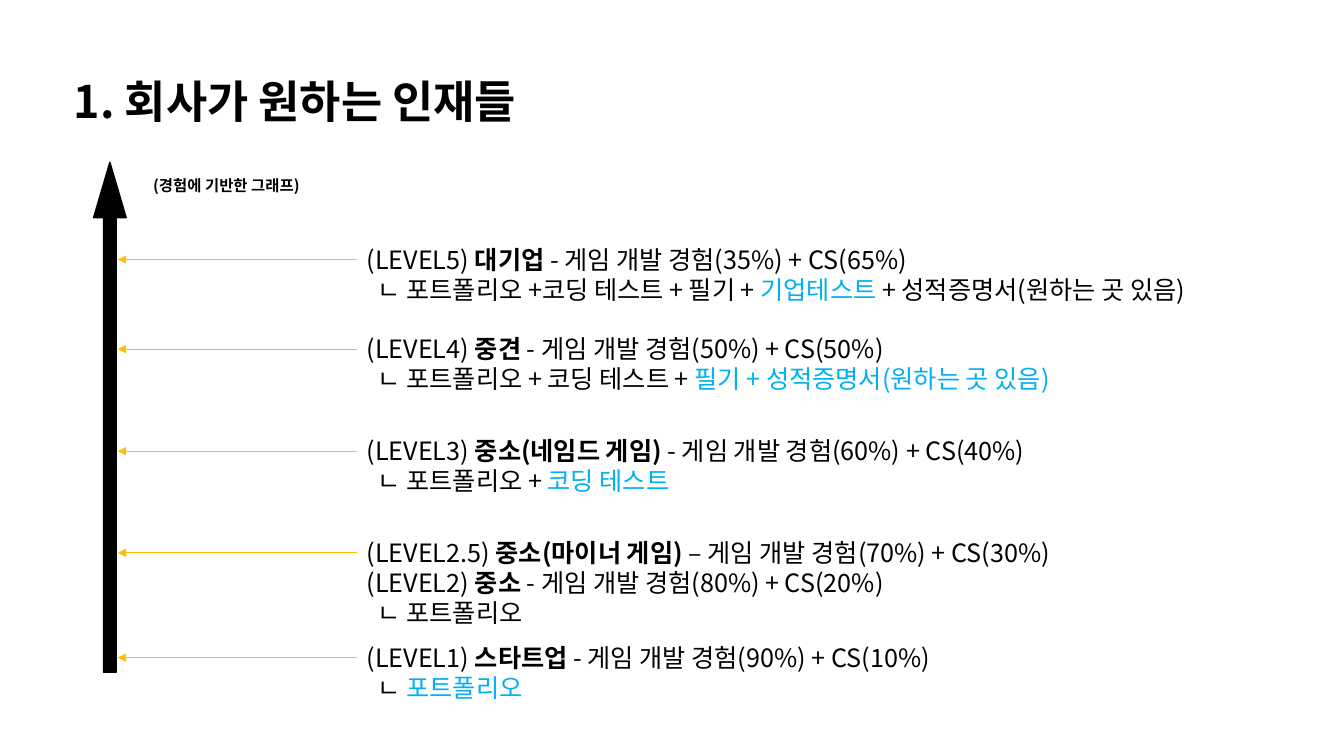
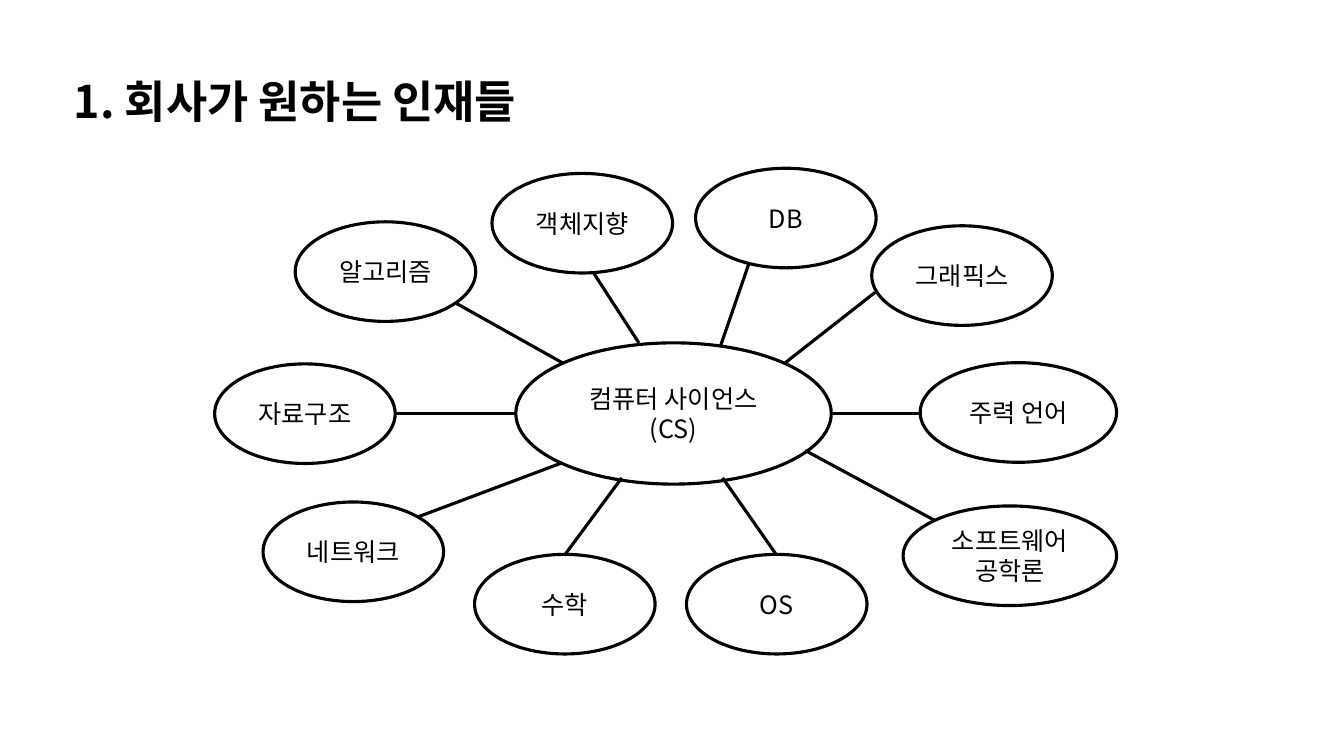
"""Build two slides on the talent that companies look for."""
from lxml import etree
from pptx import Presentation
from pptx.dml.color import RGBColor
from pptx.enum import shapes, text
from pptx.oxml.ns import qn
from pptx.util import Cm, Pt

FONT = "Noto Sans CJK KR"
BLACK = RGBColor(0x00, 0x00, 0x00)
BLUE = RGBColor(0x00, 0xB0, 0xF0)
GOLD = RGBColor(0xFF, 0xC0, 0x00)

TITLE = "1. 회사가 원하는 인재들"
CAPTION = "(경험에 기반한 그래프)"

PLAIN, STRONG, NEW = "plain", "strong", "new"


def heading(level, company, experience):
    return False, [(f"(LEVEL{level}) ", PLAIN), (company, STRONG), (experience, PLAIN)]


def requirements(*runs):
    return True, [("ㄴ ", PLAIN), *runs]


LEVELS = [
    (6.02, [
        heading("5", "대기업", " - 게임 개발 경험(35%) + CS(65%)"),
        requirements(("포트폴리오 +코딩 테스트 + 필기 + ", PLAIN), ("기업테스트 ", NEW),
                     ("+ 성적증명서(원하는 곳 있음)", PLAIN)),
    ]),
    (8.28, [
        heading("4", "중견", " - 게임 개발 경험(50%) + CS(50%)"),
        requirements(("포트폴리오 + 코딩 테스트 + ", PLAIN),
                     ("필기 + 성적증명서(원하는 곳 있음)", NEW)),
    ]),
    (10.85, [
        heading("3", "중소(네임드 게임) ", "- 게임 개발 경험(60%) + CS(40%)"),
        requirements(("포트폴리오 + ", PLAIN), ("코딩 테스트", NEW)),
    ]),
    (13.41, [
        heading("2.5", "중소(마이너 게임) ", "– 게임 개발 경험(70%) + CS(30%)"),
        heading("2", "중소", " - 게임 개발 경험(80%) + CS(20%)"),
        requirements(("포트폴리오", PLAIN)),
    ]),
    (16.05, [
        heading("1", "스타트업", " - 게임 개발 경험(90%) + CS(10%)"),
        requirements(("포트폴리오", NEW)),
    ]),
]
AXIS_EDGE, LEVEL_LEFT, LEVEL_WIDTH, LEVEL_LINE = 2.97, 8.99, 24.28, 0.52
REQUIREMENT_INDENT = 0.28

HUB = (["컴퓨터 사이언스", "(CS)"], (13, 8.64, 7.95, 3.56))
TOPIC_WIDTH, TOPIC_HEIGHT = 4.55, 2.51
TOPICS = [
    ("알고리즘", (7.44, 5.59), TOPIC_WIDTH, (14.17, 9.14, 11.51, 7.65)),
    ("객체지향", (12.4, 4.37), TOPIC_WIDTH, (16.1, 8.64, 14.96, 6.88)),
    ("DB", (17.53, 4.24), TOPIC_WIDTH, (18.16, 8.71, 18.87, 6.65)),
    ("그래픽스", (21.97, 5.69), TOPIC_WIDTH, (19.79, 9.14, 22.05, 7.37)),
    ("주력 언어", (23.19, 9.14), 4.95, (20.96, 10.41, 23.19, 10.41)),
    ("소프트웨어 공학론", (22.76, 12.75), 5.38, (20.29, 11.35, 23.55, 13.11)),
    ("OS", (17.3, 13.97), TOPIC_WIDTH, (18.21, 12.04, 19.56, 13.97)),
    ("수학", (11.96, 13.97), TOPIC_WIDTH, (15.67, 12.04, 14.22, 14)),
    ("네트워크", (6.63, 12.65), TOPIC_WIDTH, (14.17, 11.66, 10.52, 13.03)),
    ("자료구조", (5.41, 9.17), TOPIC_WIDTH, (13, 10.41, 9.96, 10.41)),
]


def cm(values):
    return [Cm(value) for value in values]


def style(paragraph, size, bold=False, align=text.PP_ALIGN.LEFT):
    paragraph.alignment = align
    font = paragraph.font
    font.size, font.bold, font.name = Pt(size), bold, FONT
    font.color.rgb = BLACK
    defaults = paragraph._p.pPr.find(qn("a:defRPr"))
    etree.SubElement(defaults, qn("a:ea"), typeface=FONT)


def add_paragraphs(frame, count):
    return [frame.paragraphs[0]] + [frame.add_paragraph() for _ in range(count - 1)]


def add_slide(presentation):
    slide = presentation.slides.add_slide(presentation.slide_layouts[5])
    title = slide.shapes.title
    title.left, title.top, title.width, title.height = cm((1.6, 1.73, 14.25, 1.63))
    title.text_frame.text = TITLE
    title.text_frame.auto_size = text.MSO_AUTO_SIZE.NONE
    title.text_frame.word_wrap = True
    style(title.text_frame.paragraphs[0], 32, bold=True)
    return slide


def add_textbox(slide, box):
    frame = slide.shapes.add_textbox(*cm(box)).text_frame
    frame.word_wrap = True
    return frame


def add_line(slide, ends, color, width, arrow=False):
    line = slide.shapes.add_connector(shapes.MSO_CONNECTOR.STRAIGHT, *cm(ends))
    line.line.color.rgb = color
    line.line.width = Pt(width)
    if arrow:
        etree.SubElement(line.line._get_or_add_ln(), qn("a:tailEnd"), type="triangle")
    etree.SubElement(line._element.spPr, qn("a:effectLst"))


def add_level(slide, top, rows):
    middle = top + LEVEL_LINE
    add_line(slide, (LEVEL_LEFT, middle, AXIS_EDGE, middle), GOLD, 0.5, arrow=True)
    frame = add_textbox(slide, (LEVEL_LEFT, top, LEVEL_WIDTH, 0.28 + 0.76 * len(rows)))
    for paragraph, (indented, runs) in zip(add_paragraphs(frame, len(rows)), rows):
        style(paragraph, 18)
        if indented:
            paragraph._p.pPr.set("marL", str(Cm(REQUIREMENT_INDENT)))
        for words, kind in runs:
            run = paragraph.add_run()
            run.text = words
            if kind == STRONG:
                run.font.bold = True
            elif kind == NEW:
                run.font.color.rgb = BLUE


def add_ellipse(slide, lines, box):
    ellipse = slide.shapes.add_shape(shapes.MSO_SHAPE.OVAL, *cm(box))
    ellipse.shadow.inherit = False
    ellipse.fill.background()
    ellipse.line.color.rgb = BLACK
    ellipse.line.width = Pt(2.25)
    frame = ellipse.text_frame
    frame.word_wrap = True
    frame.vertical_anchor = text.MSO_ANCHOR.MIDDLE
    for paragraph, words in zip(add_paragraphs(frame, len(lines)), lines):
        paragraph.text = words
        style(paragraph, 18, align=text.PP_ALIGN.CENTER)


def build_levels(presentation):
    slide = add_slide(presentation)
    axis = slide.shapes.add_shape(shapes.MSO_SHAPE.UP_ARROW, *cm((2.36, 4.09, 0.82, 12.85)))
    axis.adjustments[0], axis.adjustments[1] = 0.39, 1.7
    axis.shadow.inherit = False
    axis.fill.solid()
    axis.fill.fore_color.rgb = BLACK
    axis.line.color.rgb = BLACK
    axis.line.width = Pt(1)
    for top, rows in LEVELS:
        add_level(slide, top, rows)
    caption = add_textbox(slide, (3.61, 4.32, 7.87, 0.74)).paragraphs[0]
    caption.text = CAPTION
    style(caption, 11, bold=True)


def build_topics(presentation):
    slide = add_slide(presentation)
    add_ellipse(slide, *HUB)
    for name, corner, width, ends in TOPICS:
        add_line(slide, ends, BLACK, 2.25)
        add_ellipse(slide, [name], (*corner, width, TOPIC_HEIGHT))


def main():
    presentation = Presentation()
    presentation.slide_width, presentation.slide_height = Cm(33.87), Cm(19.05)
    build_levels(presentation)
    build_topics(presentation)
    presentation.save("out.pptx")


if __name__ == "__main__":
    main()
